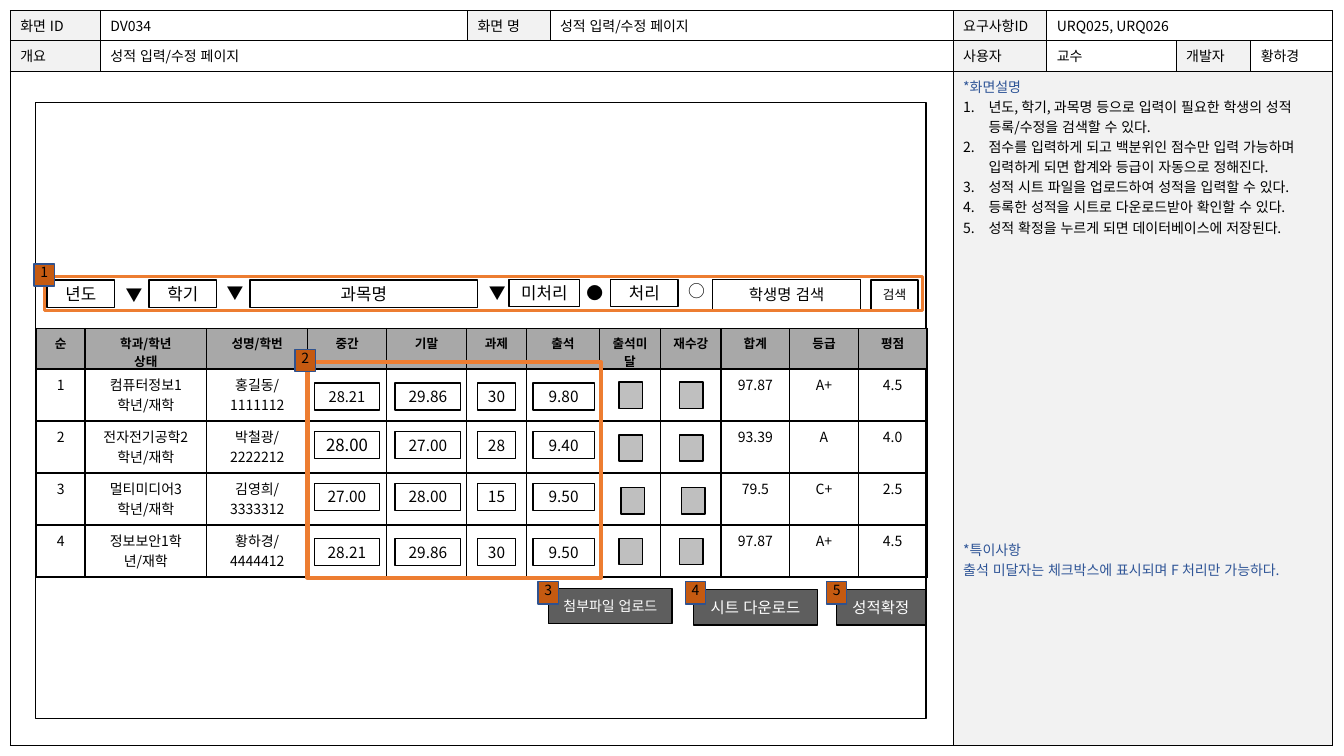
from lxml import etree
from pptx import Presentation
from pptx import util as u
from pptx.dml.color import RGBColor
from pptx.enum import lang, shapes, text
from pptx.oxml.ns import qn

FONT = "Noto Sans CJK KR"
BLACK, WHITE, GRAY = "000000", "FFFFFF", "F2F2F2"
BLUE, ORANGE, DARK = "2F5597", "ED7D31", "5E5E5E"
CENTER = text.PP_ALIGN.CENTER


def rgb(color):
    return RGBColor.from_string(color)


def write(p, words, size=10, color=BLACK, bold=False, align=None):
    """Put formatted words into a paragraph."""
    if align is not None:
        p.alignment = align
    r = p.add_run()
    r.text = words
    r.font.size, r.font.bold, r.font.name = u.Pt(size), bold, FONT
    r.font.color.rgb = rgb(color)
    r.font.language_id = lang.MSO_LANGUAGE_ID.KOREAN
    ea = etree.SubElement(r._r.get_or_add_rPr(), qn("a:ea"))
    ea.set("typeface", FONT)


def number(p):
    """Turn a paragraph into an item of a numbered list."""
    pPr = p._p.get_or_add_pPr()
    pPr.set("marL", str(u.Cm(0.64)))
    pPr.set("indent", str(-u.Cm(0.64)))
    etree.SubElement(pPr, qn("a:buAutoNum")).set("type", "arabicPeriod")


def box(s, x, y, w, h, words="", fill=WHITE, line=BLACK, weight=1, inset=True, **fmt):
    sp = s.shapes.add_shape(shapes.MSO_SHAPE.RECTANGLE,
                            u.Cm(x), u.Cm(y), u.Cm(w), u.Cm(h))
    sp.shadow.inherit = False
    if fill:
        sp.fill.solid()
        sp.fill.fore_color.rgb = rgb(fill)
    else:
        sp.fill.background()
    sp.line.color.rgb = rgb(line)
    sp.line.width = u.Pt(weight)
    tf = sp.text_frame
    tf.vertical_anchor = text.MSO_ANCHOR.MIDDLE
    if not inset:
        tf.vertical_anchor = text.MSO_ANCHOR.TOP
        tf.margin_left = tf.margin_right = tf.margin_top = tf.margin_bottom = 0
    if words:
        write(tf.paragraphs[0], words, align=CENTER, **fmt)


def symbol(s, x, y, mark):
    tf = s.shapes.add_textbox(u.Cm(x), u.Cm(y), u.Cm(0.84), u.Cm(0.76)).text_frame
    tf.word_wrap = False
    write(tf.paragraphs[0], mark, size=12)


def badge(s, x, y, label):
    box(s, x, y, 0.51, 0.56, label, fill="C55A11", line="2F528F", inset=False)


def grid(s, x, y, cols, rows, weight):
    """Add a table with plain cells and even borders."""
    frame = s.shapes.add_table(len(rows), len(cols), u.Cm(x), u.Cm(y),
                               u.Cm(sum(cols)), u.Cm(sum(rows)))
    tbl = frame.table
    tbl.first_row = tbl.horz_banding = False
    for col, width in zip(tbl.columns, cols):
        col.width = u.Cm(width)
    for row, height in zip(tbl.rows, rows):
        row.height = u.Cm(height)
    for cell in tbl.iter_cells():
        tcPr = cell._tc.get_or_add_tcPr()
        for side in ("a:lnL", "a:lnR", "a:lnT", "a:lnB"):
            ln = etree.SubElement(tcPr, qn(side), w=str(u.Pt(weight)))
            fill = etree.SubElement(ln, qn("a:solidFill"))
            etree.SubElement(fill, qn("a:srgbClr"), val=BLACK)
        cell.fill.background()
    return tbl


def shade(cell, color):
    cell.fill.solid()
    cell.fill.fore_color.rgb = rgb(color)


def page_table(s):
    tbl = grid(s, 0.26, 0.26, [2.27, 9.25, 2.08, 10.16, 2.36, 3.26, 1.88, 2.06],
               [0.76, 0.76, 17], 0.5)
    title = "성적 입력/수정 페이지"
    rows = [
        ["화면 ID", "DV034", "화면 명", title, "요구사항ID", "URQ025, URQ026", "", ""],
        ["개요", title, "", "", "사용자", "교수", "개발자", "황하경"],
    ]
    labels = {"화면 ID", "화면 명", "요구사항ID", "개요", "사용자", "개발자"}
    for i, row in enumerate(rows):
        for j, words in enumerate(row):
            shade(tbl.cell(i, j), GRAY if words in labels else WHITE)
            if words:
                write(tbl.cell(i, j).text_frame.paragraphs[0], words)
    shade(tbl.cell(2, 0), WHITE)
    shade(tbl.cell(2, 4), GRAY)
    for i, first, last in [(0, 5, 7), (1, 1, 3), (2, 0, 3), (2, 4, 7)]:
        tbl.cell(i, first).merge(tbl.cell(i, last))
    describe(tbl.cell(2, 4).text_frame)


def describe(tf):
    write(tf.paragraphs[0], "*화면설명", color=BLUE)
    for words in [
        "년도, 학기, 과목명 등으로 입력이 필요한 학생의 성적 등록/수정을 검색할 수 있다.",
        "점수를 입력하게 되고 백분위인 점수만 입력 가능하며 입력하게 되면 합계와 등급이 자동으로 정해진다.",
        "성적 시트 파일을 업로드하여 성적을 입력할 수 있다.",
        "등록한 성적을 시트로 다운로드받아 확인할 수 있다.",
        "성적 확정을 누르게 되면 데이터베이스에 저장된다.",
    ]:
        p = tf.add_paragraph()
        number(p)
        write(p, words)
    p = tf.add_paragraph()
    p.space_before = u.Pt(216)
    write(p, "*특이사항", color=BLUE)
    write(tf.add_paragraph(), "출석 미달자는 체크박스에 표시되며 F 처리만 가능하다.", color=BLUE)


def search_bar(s):
    for x, y, w, words in [(1.19, 7.06, 1.7, "년도"), (3.76, 7.06, 1.7, "학기"),
                           (6.3, 7.06, 5.74, "과목명"), (12.83, 7.04, 1.78, "미처리"),
                           (15.39, 7.04, 1.7, "처리")]:
        box(s, x, y, w, 0.69, words, size=12)
    for x, y, mark in [(2.92, 7.06, "▼"), (5.46, 7.01, "▼"), (12.07, 7.01, "▼"),
                       (14.53, 7.01, "●"), (17.09, 6.96, "○")]:
        symbol(s, x, y, mark)
    box(s, 17.96, 7.04, 3.73, 0.76, "학생명 검색", size=11)
    box(s, 21.95, 7.06, 1.19, 0.74, "검색", size=9)


def grade_table(s):
    tbl = grid(s, 0.92, 8.28,
               [1.22, 3.07, 2.54, 2, 2, 1.52, 1.83, 1.55, 1.52, 1.73, 1.73, 1.73],
               [1.02] + [1.31] * 4, 1)
    heads = ["순", "학과/학년\n상태", "성명/학번", "중간", "기말", "과제",
             "출석", "출석미달", "재수강", "합계", "등급", "평점"]
    for j, head in enumerate(heads):
        cell = tbl.cell(0, j)
        shade(cell, "A8A8A8")
        cell.margin_bottom = 0
        tf = cell.text_frame
        for k, words in enumerate(head.split("\n")):
            p = tf.add_paragraph() if k else tf.paragraphs[0]
            write(p, words, size=9, bold=True, align=CENTER)
    students = [
        ("컴퓨터정보1학년/재학", "홍길동/1111112", "97.87", "A+", "4.5"),
        ("전자전기공학2학년/재학", "박철광/2222212", "93.39", "A", "4.0"),
        ("멀티미디어3학년/재학", "김영희/3333312", "79.5", "C+", "2.5"),
        ("정보보안1학년/재학", "황하경/4444412", "97.87", "A+", "4.5"),
    ]
    for i, student in enumerate(students, 1):
        for j, words in zip((0, 1, 2, 9, 10, 11), (str(i), *student)):
            write(tbl.cell(i, j).text_frame.paragraphs[0], words, align=CENTER)


def score_inputs(s):
    fields = [(7.92, 1.65), (9.96, 1.65), (12.03, 0.97), (13.43, 1.55)]
    # Top of the fields, top and left of the checkboxes, scores
    rows = [
        (9.65, 9.63, 15.6, ["28.21", "29.86", "30", "9.80"]),
        (10.88, 10.96, 15.6, ["28.00", "27.00", "28", "9.40"]),
        (12.18, 12.29, 15.65, ["27.00", "28.00", "15", "9.50"]),
        (13.57, 13.57, 15.6, ["28.21", "29.86", "30", "9.50"]),
    ]
    sizes = {(0, 0): 10.5, (1, 0): 12}
    for i, (top, check_top, check_left, scores) in enumerate(rows):
        for j, ((x, w), score) in enumerate(zip(fields, scores)):
            box(s, x, top, w, 0.68, score, size=sizes.get((i, j), 11))
        for j in range(2):
            box(s, check_left + j * 1.52, check_top, 0.6, 0.66, fill="BFBFBF")


def main():
    prs = Presentation()
    prs.slide_width, prs.slide_height = u.Cm(33.87), u.Cm(19.05)
    s = prs.slides.add_slide(prs.slide_layouts[6])

    # Page header, description and screen frame
    page_table(s)
    box(s, 0.89, 2.59, 22.45, 15.52)

    # Screen content
    search_bar(s)
    grade_table(s)
    score_inputs(s)
    for x, y, w, words, size in [(13.82, 14.83, 3.12, "첨부파일 업로드", 10),
                                 (17.48, 14.86, 3.12, "시트 다운로드", 11),
                                 (21.08, 14.86, 2.24, "성적확정", 11)]:
        box(s, x, y, w, 0.89, words, fill=DARK, color=WHITE, size=size)

    # Highlights and numbered badges
    box(s, 7.75, 9.12, 7.39, 5.44, fill=None, line=ORANGE, weight=3)
    box(s, 1.12, 6.96, 22.12, 0.86, fill=None, line=ORANGE, weight=2.25)
    places = [(0.86, 6.65), (7.44, 8.81), (13.56, 14.66), (17.27, 14.66), (20.83, 14.66)]
    for i, (x, y) in enumerate(places, 1):
        badge(s, x, y, str(i))

    prs.save("out.pptx")


if __name__ == "__main__":
    main()
